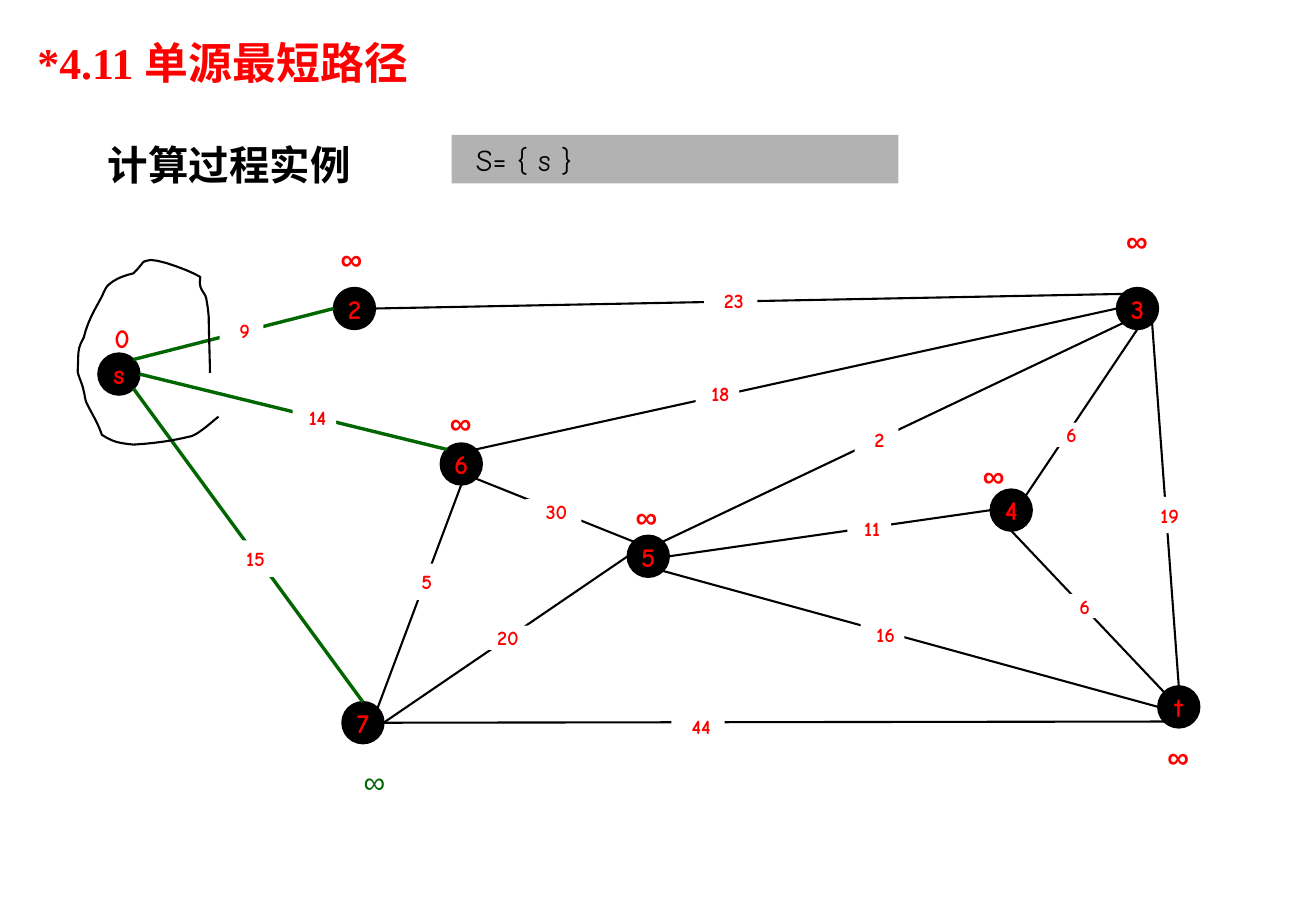
"""Build the single-source shortest path slide: weighted graph, distances and visited set."""
from dataclasses import dataclass
from math import cos, radians, sin

from pptx import Presentation
from pptx.dml.color import RGBColor
from pptx.enum import shapes, text
from pptx.oxml import ns, xmlchemy
from pptx.util import Inches, Pt


@dataclass(frozen=True)
class Theme:
    black: RGBColor = RGBColor(0x00, 0x00, 0x00)
    white: RGBColor = RGBColor(0xFF, 0xFF, 0xFF)
    red: RGBColor = RGBColor(0xFF, 0x00, 0x00)
    green: RGBColor = RGBColor(0x00, 0x66, 0x00)
    gray: RGBColor = RGBColor(0xB2, 0xB2, 0xB2)
    blue: RGBColor = RGBColor(0x00, 0x33, 0x99)
    heading_font: str = "Times New Roman"
    label_font: str = "Comic Neue"
    symbol_font: str = "Arial"
    title_size: int = 26
    subtitle_size: int = 24
    distance_size: int = 18
    node_size: int = 16
    weight_size: int = 12
    thin: float = 1.25
    thick: float = 2


theme = Theme()


def write(shape, words, size, font=theme.label_font, color=theme.red, bold=True,
          align=text.PP_ALIGN.CENTER, wrap=True, insets=(0, 0, 0, 0), spacing=None):
    """Put one formatted, vertically centred paragraph into a shape."""
    frame = shape.text_frame
    frame.word_wrap = wrap
    frame.vertical_anchor = text.MSO_ANCHOR.MIDDLE
    frame.margin_left, frame.margin_top, frame.margin_right, frame.margin_bottom = map(Inches, insets)
    paragraph = frame.paragraphs[0]
    paragraph.text = words
    paragraph.alignment = align
    paragraph.line_spacing = spacing
    paragraph.font.name = font
    paragraph.font.size = Pt(size)
    paragraph.font.bold = bold
    paragraph.font.color.rgb = color


def add_block(kind, center_x, center_y, width, height, color):
    """Add a plain filled shape around a centre point."""
    shape = slide.shapes.add_shape(kind, Inches(center_x - width / 2), Inches(center_y - height / 2),
                                   Inches(width), Inches(height))
    shape.shadow.inherit = False
    shape.fill.solid()
    shape.fill.fore_color.rgb = color
    shape.line.fill.background()
    return shape


presentation = Presentation()
presentation.slide_width, presentation.slide_height = Inches(10.84), Inches(7.5)
slide = presentation.slides.add_slide(presentation.slide_layouts[6])

headings = [
    ("*4.11 单源最短路径", 0.21, 0.07, 3.36, 0.71, theme.title_size, theme.red, 1.4),
    ("计算过程实例", 0.79, 1.02, 2.2, 0.58, theme.subtitle_size, theme.black, 1.2),
]
for words, left, top, width, height, size, color, spacing in headings:
    box = slide.shapes.add_textbox(Inches(left), Inches(top), Inches(width), Inches(height))
    write(box, words, size, font=theme.heading_font, color=color, align=text.PP_ALIGN.LEFT,
          wrap=False, insets=(0.1, 0.05, 0.1, 0.05), spacing=spacing)

visited_set = add_block(shapes.MSO_SHAPE.RECTANGLE, 5.56, 1.31, 3.68, 0.4, theme.gray)
write(visited_set, "S= { s }", theme.distance_size, color=theme.black, bold=False,
      align=text.PP_ALIGN.LEFT, insets=(0.2, 0.05, 0.2, 0.05))

radius = 0.17
nodes = {
    "s": (0.98, 3.08), "3": (9.37, 2.54), "t": (9.71, 5.82), "2": (2.92, 2.54),
    "6": (3.8, 3.82), "7": (2.99, 5.95), "4": (8.33, 4.2), "5": (5.34, 4.58),
}
for name, center in nodes.items():
    node = add_block(shapes.MSO_SHAPE.OVAL, *center, 2 * radius, 2 * radius, theme.black)
    node.line.color.rgb = theme.black
    node.line.width = Pt(theme.thin)
    write(node, name, theme.node_size, wrap=False)

angles = {side: 45 * step for step, side in enumerate(["e", "se", "s", "sw", "w", "nw", "n", "ne"])}
edges = [
    ("s", "ne", "2", "w"), ("s", "e", "6", "nw"), ("s", "se", "7", "n"),
    ("6", "ne", "3", "w"), ("4", "ne", "3", "s"), ("6", "se", "5", "nw"),
    ("5", "se", "t", "w"), ("5", "e", "4", "w"), ("4", "s", "t", "nw"),
    ("3", "sw", "5", "ne"), ("6", "s", "7", "ne"), ("7", "e", "5", "w"),
    ("2", "e", "3", "nw"), ("7", "e", "t", "sw"), ("3", "se", "t", "n"),
]
for start, start_side, end, end_side in edges:
    ends = []
    for name, side in ((start, start_side), (end, end_side)):
        angle = radians(angles[side])
        ends += [Inches(nodes[name][0] + radius * cos(angle)), Inches(nodes[name][1] + radius * sin(angle))]
    edge = slide.shapes.add_connector(shapes.MSO_CONNECTOR.STRAIGHT, *ends)
    from_source = start == "s"
    edge.line.color.rgb = theme.green if from_source else theme.black
    edge.line.width = Pt(theme.thick if from_source else theme.thin)
    edge.line._get_or_add_ln().append(xmlchemy.OxmlElement("a:tailEnd", {"type": "triangle"}))
    edge._element.spPr.append(xmlchemy.OxmlElement("a:effectLst"))

weights = [
    ("23", 6.02, 2.47, 0.44, 0.2), ("18", 5.91, 3.24, 0.36, 0.2), ("2", 7.22, 3.62, 0.36, 0.2),
    ("9", 1.99, 2.72, 0.36, 0.2), ("14", 2.59, 3.44, 0.36, 0.2), ("15", 2.08, 4.6, 0.36, 0.3),
    ("5", 3.49, 4.79, 0.36, 0.3), ("30", 4.56, 4.21, 0.46, 0.2), ("20", 4.16, 5.25, 0.44, 0.2),
    ("44", 5.75, 5.98, 0.44, 0.2), ("16", 7.27, 5.22, 0.36, 0.2), ("11", 7.16, 4.35, 0.36, 0.2),
    ("6", 8.8, 3.58, 0.36, 0.2), ("19", 9.61, 4.24, 0.36, 0.3), ("6", 8.91, 4.99, 0.36, 0.2),
]
for words, *place in weights:
    label = add_block(shapes.MSO_SHAPE.RECTANGLE, *place, theme.white)
    write(label, words, theme.weight_size, insets=(0.05, 0, 0, 0))

distances = [
    ("∞", 2.56, 1.93), ("∞", 9.03, 1.78), ("∞", 9.37, 6.03), ("∞", 4.99, 4.05),
    ("∞", 3.46, 3.28), ("∞", 7.85, 3.71), ("∞", 2.75, 6.23), ("0", 0.67, 2.58),
]
for words, left, top in distances:
    box = slide.shapes.add_textbox(Inches(left), Inches(top), Inches(0.59), Inches(0.4))
    updated = (left, top) == (2.75, 6.23)
    infinite = words == "∞"
    write(box, words, theme.distance_size if infinite else theme.node_size,
          font=theme.symbol_font if infinite else theme.label_font,
          color=theme.green if updated else theme.red, bold=not updated, insets=(0.13, 0.05, 0.05, 0.05))

region_start = (1.8, 3.43)
region_curves = [
    ((1.75, 3.47), (1.64, 3.57), (1.58, 3.59)), ((1.42, 3.63), (1.27, 3.65), (1.1, 3.66)),
    ((0.99, 3.65), (0.93, 3.64), (0.84, 3.58)), ((0.81, 3.49), (0.76, 3.41), (0.72, 3.33)),
    ((0.7, 3.3), (0.7, 3.25), (0.69, 3.22)), ((0.68, 3.16), (0.65, 3.11), (0.64, 3.06)),
    ((0.65, 2.92), (0.63, 2.88), (0.69, 2.78)), ((0.72, 2.65), (0.78, 2.55), (0.84, 2.44)),
    ((0.85, 2.42), (0.87, 2.36), (0.9, 2.34)), ((0.96, 2.29), (1.02, 2.27), (1.1, 2.25)),
    ((1.21, 2.14), (1.15, 2.16), (1.24, 2.14)), ((1.33, 2.14), (1.57, 2.23), (1.65, 2.28)),
    ((1.63, 2.39), (1.69, 2.4), (1.7, 2.46)), ((1.71, 2.52), (1.71, 2.51), (1.72, 2.61)),
    ((1.72, 2.72), (1.73, 2.98), (1.73, 3.07)),
]
steps = 6
outline = []
current = region_start
for first, second, last in region_curves:
    for step in range(1, steps + 1):
        t = step / steps
        outline.append([
            Inches((1 - t) ** 3 * a + 3 * (1 - t) ** 2 * t * b + 3 * (1 - t) * t ** 2 * c + t ** 3 * d)
            for a, b, c, d in zip(current, first, second, last)
        ])
    current = last
builder = slide.shapes.build_freeform(*map(Inches, region_start))
builder.add_line_segments(outline, close=False)
region = builder.convert_to_shape()
region.shadow.inherit = False
region.fill.solid()
region.fill.fore_color.rgb = theme.blue
region_color = region._element.spPr.find(ns.qn("a:solidFill"))[0]
region_color.append(xmlchemy.OxmlElement("a:alpha", {"val": "50000"}))
region.line.color.rgb = theme.black
region.line.width = Pt(theme.thin)

presentation.save("out.pptx")
